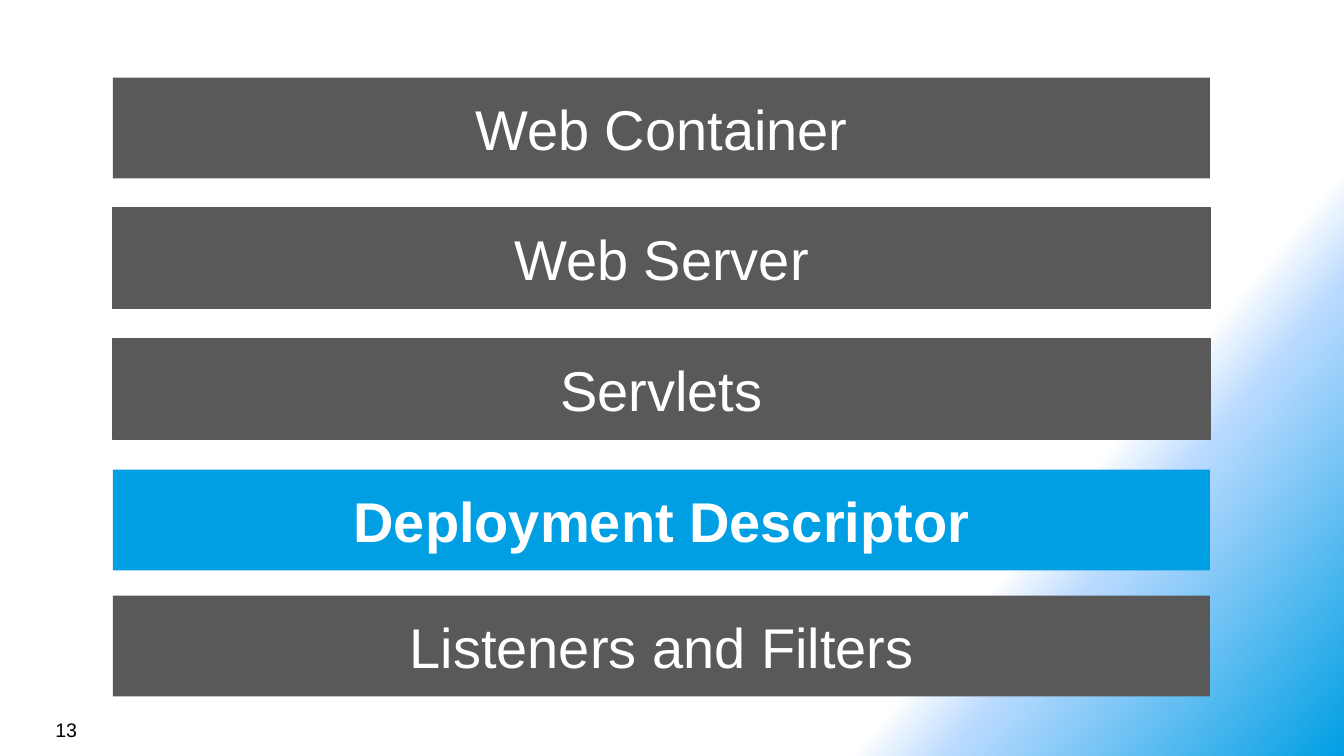
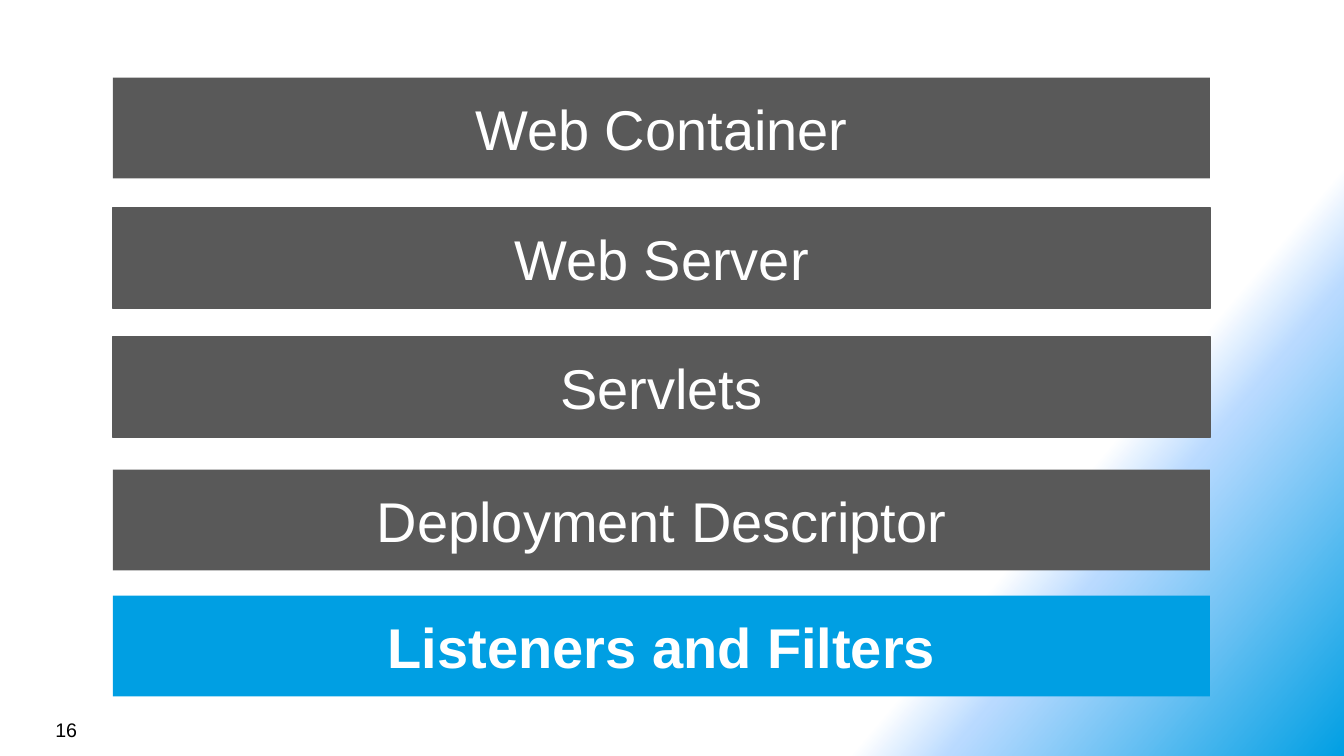
"""Build two agenda slides that each highlight the current topic."""
from dataclasses import dataclass

from lxml import etree
from pptx import Presentation
from pptx.dml.color import RGBColor
from pptx.enum.shapes import MSO_SHAPE
from pptx.enum.text import MSO_ANCHOR, PP_ALIGN
from pptx.oxml.ns import qn
from pptx.slide import Slide, SlideMaster
from pptx.text.text import TextFrame
from pptx.util import Inches, Pt

RECTANGLE = MSO_SHAPE.RECTANGLE
MIDDLE = MSO_ANCHOR.MIDDLE
CENTER = PP_ALIGN.CENTER
LEFT = PP_ALIGN.LEFT


@dataclass(frozen=True)
class Theme:
    font: str = "Arial"
    topic_size: int = 40
    number_size: int = 14
    bar: str = "595959"
    accent: str = "009FE3"
    glow: str = "B9DAFF"
    light: str = "FFFFFF"
    dark: str = "000000"
    outline: int = 1
    gradient_angle: int = 40


@dataclass(frozen=True)
class Topic:
    label: str
    top: float
    outlined: bool = False


@dataclass(frozen=True)
class Agenda:
    number: int
    current: str
    servlets_top: float

    def topics(self) -> list[Topic]:
        return [
            Topic("Web Container", 0.77),
            Topic("Web Server", 2.06, outlined=True),
            Topic("Servlets", self.servlets_top, outlined=True),
            Topic("Deployment Descriptor", 4.66),
            Topic("Listeners and Filters", 5.91),
        ]


THEME = Theme()
BAR_LEFT, BAR_WIDTH, BAR_HEIGHT = 1.12, 10.88, 1
AGENDAS = [
    Agenda(13, "Deployment Descriptor", servlets_top=3.36),
    Agenda(16, "Listeners and Filters", servlets_top=3.34),
]


def paint_background(master: SlideMaster) -> None:
    master.background.fill.gradient()
    gradient = master.element.find(f".//{qn('p:bgPr')}/{qn('a:gradFill')}")
    for part in list(gradient):
        gradient.remove(part)
    stops = etree.SubElement(gradient, qn("a:gsLst"))
    for percent, color, opacity in (
        (75, THEME.light, 100), (80, THEME.glow, 50), (100, THEME.accent, 100)
    ):
        stop = etree.SubElement(stops, qn("a:gs"), pos=str(percent * 1000))
        tint = etree.SubElement(stop, qn("a:srgbClr"), val=color)
        if opacity < 100:
            etree.SubElement(tint, qn("a:alpha"), val=str(opacity * 1000))
    angle = str(THEME.gradient_angle * 60000)
    etree.SubElement(gradient, qn("a:lin"), ang=angle, scaled="0")


def write(frame: TextFrame, text: str, size: int, color: str,
          alignment: PP_ALIGN, bold: bool = False) -> None:
    frame.word_wrap = True
    frame.text = text
    paragraph = frame.paragraphs[0]
    paragraph.alignment = alignment
    font = paragraph.runs[0].font
    font.name, font.size, font.bold = THEME.font, Pt(size), bold
    font.color.rgb = RGBColor.from_string(color)


def draw_topic(slide: Slide, topic: Topic, is_current: bool) -> None:
    bar = slide.shapes.add_shape(
        RECTANGLE, Inches(BAR_LEFT), Inches(topic.top),
        Inches(BAR_WIDTH), Inches(BAR_HEIGHT))
    color = RGBColor.from_string(THEME.accent if is_current else THEME.bar)
    bar.shadow.inherit = False
    bar.fill.solid()
    bar.fill.fore_color.rgb = color
    if topic.outlined:
        bar.line.color.rgb = color
        bar.line.width = Pt(THEME.outline)
    else:
        bar.line.fill.background()
    bar.text_frame.vertical_anchor = MIDDLE
    write(bar.text_frame, topic.label, THEME.topic_size, THEME.light, CENTER,
          bold=is_current)


def draw_number(slide: Slide, number: int) -> None:
    footer = slide.shapes.add_textbox(
        Inches(0.45), Inches(7.07), Inches(3.11), Inches(0.33))
    write(footer.text_frame, str(number), THEME.number_size, THEME.dark, LEFT)


def main() -> None:
    deck = Presentation()
    deck.slide_width, deck.slide_height = Inches(13.33), Inches(7.5)
    paint_background(deck.slide_master)
    blank = deck.slide_layouts.get_by_name("Blank")
    for agenda in AGENDAS:
        slide = deck.slides.add_slide(blank)
        for topic in agenda.topics():
            draw_topic(slide, topic, topic.label == agenda.current)
        draw_number(slide, agenda.number)
    deck.save("out.pptx")


main()
